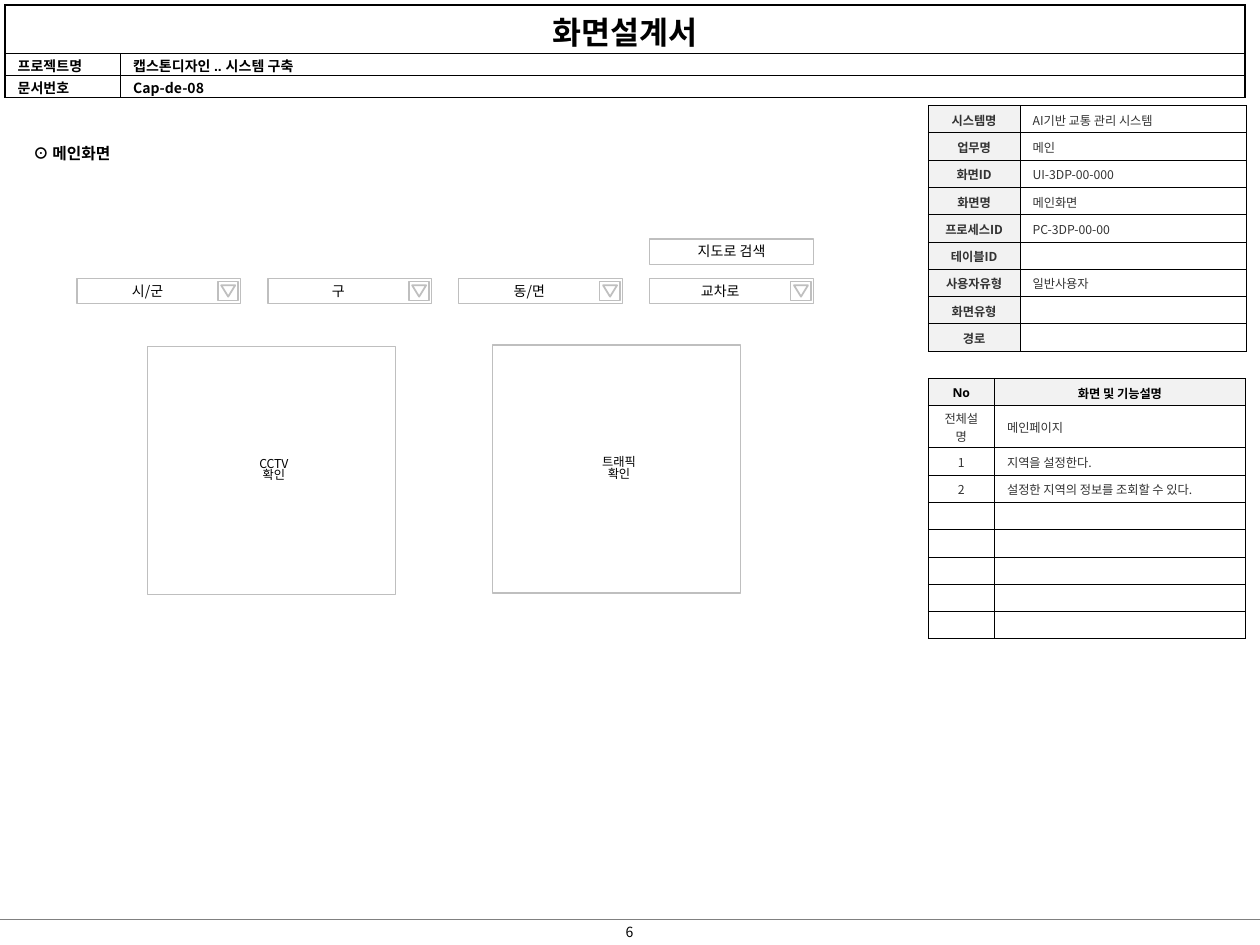
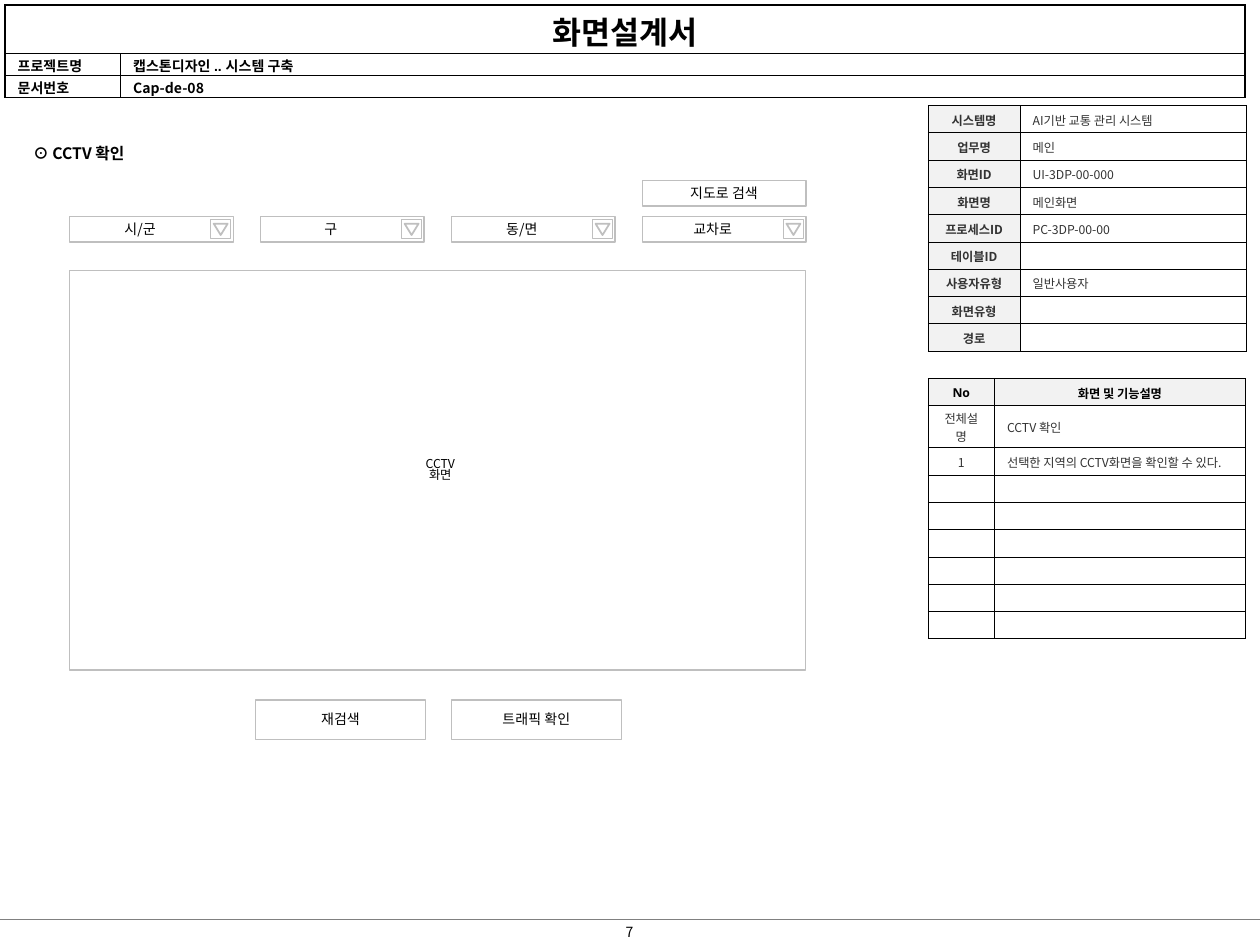
import pptx
import pptx.util
import pptx.dml.color
import pptx.enum.shapes
import pptx.enum.text
import pptx.oxml.ns
from lxml import etree

Pt = pptx.util.Pt
RGBColor = pptx.dml.color.RGBColor
SHAPE = pptx.enum.shapes.MSO_SHAPE
ALIGN = pptx.enum.text.PP_ALIGN
ANCHOR = pptx.enum.text.MSO_ANCHOR
qn = pptx.oxml.ns.qn

BLACK = RGBColor(0x00, 0x00, 0x00)
WHITE = RGBColor(0xFF, 0xFF, 0xFF)
BODY_GREY = RGBColor(0x33, 0x33, 0x33)
HEADER_GREY = RGBColor(0xF2, 0xF2, 0xF2)
OUTLINE_GREY = RGBColor(0xBF, 0xBF, 0xBF)
FOOTER_GREY = RGBColor(0x80, 0x80, 0x80)

KOREAN = "Noto Sans CJK KR"
LATIN = "Arial"
NUMBER_HEAD = "Open Sans"

ROW_HEIGHT = 15.6
DESCRIPTION_ROWS = 9
FILTERS = ["시/군", "구", "동/면", "교차로"]
FILTER_STEP = 109.1
FILTER_WIDTH = 93.6
FILTER_HEIGHT = 14.6
FILTER_LABEL_WIDTH = 80.6
LABEL_HEIGHT = 17.3

SCREEN_INFO = [
    ("시스템명", "AI기반 교통 관리 시스템"),
    ("업무명", "메인"),
    ("화면ID", "UI-3DP-00-000"),
    ("화면명", "메인화면"),
    ("프로세스ID", "PC-3DP-00-00"),
    ("테이블ID", ""),
    ("사용자유형", "일반사용자"),
    ("화면유형", ""),
    ("경로", ""),
]


def add_run(paragraph, text, size, color=BLACK, bold=False, font=KOREAN):
    run = paragraph.add_run()
    run.text = text
    run.font.size = Pt(size)
    run.font.bold = bold
    run.font.name = font
    run.font.color.rgb = color
    east_asian = etree.SubElement(run.font._element, qn("a:ea"))
    east_asian.set("typeface", KOREAN)


def set_insets(frame, left, top, right, bottom):
    frame.margin_left, frame.margin_top = Pt(left), Pt(top)
    frame.margin_right, frame.margin_bottom = Pt(right), Pt(bottom)


def add_label(shapes, text, left, top, width):
    label = shapes.add_textbox(Pt(left), Pt(top), Pt(width), Pt(LABEL_HEIGHT))
    label.text_frame.word_wrap = True
    paragraph = label.text_frame.paragraphs[0]
    paragraph.alignment = ALIGN.CENTER
    add_run(paragraph, text, 8)


def add_outline(shapes, kind, left, top, width, height, weight=0.75):
    outline = shapes.add_shape(kind, Pt(left), Pt(top), Pt(width), Pt(height))
    outline.shadow.inherit = False
    outline.fill.solid()
    outline.fill.fore_color.rgb = WHITE
    outline.line.color.rgb = OUTLINE_GREY
    outline.line.width = Pt(weight)
    return outline


def add_button(shapes, text, left, top, width=FILTER_WIDTH, height=FILTER_HEIGHT,
               label_width=None):
    add_outline(shapes, SHAPE.RECTANGLE, left, top, width, height)
    add_label(shapes, text, left, top + (height - LABEL_HEIGHT) / 2,
              label_width or width)


def add_dropdown(slide, text, left, top):
    shapes = slide.shapes.add_group_shape().shapes
    add_button(shapes, text, left, top, label_width=FILTER_LABEL_WIDTH)
    add_outline(shapes, SHAPE.RECTANGLE, left + 80.6, top + 1.7, 11.5, 11)
    arrow = add_outline(shapes, SHAPE.ISOSCELES_TRIANGLE,
                        left + 82.4, top + 4, 8, 6.5, 1)
    arrow.fill.background()
    arrow.rotation = 180


def add_search_bar(slide, left, filter_top, map_search_top):
    for index, text in enumerate(FILTERS):
        add_dropdown(slide, text, left + index * FILTER_STEP, filter_top)
    map_search = slide.shapes.add_group_shape()
    add_button(map_search.shapes, "지도로 검색",
               left + (len(FILTERS) - 1) * FILTER_STEP, map_search_top)


def add_panel(slide, lines, left, top, width, height):
    panel = add_outline(slide.shapes, SHAPE.RECTANGLE, left, top, width, height)
    frame = panel.text_frame
    frame.word_wrap = True
    frame.vertical_anchor = ANCHOR.MIDDLE
    set_insets(frame, 5.8, 3.6, 2.9, 3.6)
    for index, line in enumerate(lines):
        paragraph = frame.add_paragraph() if index else frame.paragraphs[0]
        paragraph.alignment = ALIGN.CENTER
        paragraph.line_spacing = 0.8
        add_run(paragraph, line, 7)


def set_border(cell, side, weight):
    line = etree.SubElement(cell._tc.get_or_add_tcPr(), qn("a:ln" + side))
    line.set("w", str(Pt(weight)))
    fill = etree.SubElement(line, qn("a:solidFill"))
    etree.SubElement(fill, qn("a:srgbClr")).set("val", str(BLACK))


def style_cell(cell, borders, fill=None):
    for side, weight in zip("LRTB", borders):
        set_border(cell, side, weight)
    if fill is None:
        cell.fill.background()
    else:
        cell.fill.solid()
        cell.fill.fore_color.rgb = fill


def fill_cell(cell, text, size, align=ALIGN.LEFT, **run_format):
    paragraph = cell.text_frame.paragraphs[0]
    paragraph.alignment = align
    if text:
        add_run(paragraph, text, size, **run_format)
    else:
        empty = etree.SubElement(paragraph._p, qn("a:endParaRPr"))
        empty.set("sz", str(size * 100))


def add_grid(slide, left, top, widths, heights):
    table = slide.shapes.add_table(
        len(heights), len(widths), Pt(left), Pt(top),
        Pt(sum(widths)), Pt(sum(heights))).table
    table.first_row = False
    table.horz_banding = False
    for column, width in zip(table.columns, widths):
        column.width = Pt(width)
    for row, height in zip(table.rows, heights):
        row.height = Pt(height)
    return table


def fill_detail_cell(cell, text, centered, fill=None, **run_format):
    style_cell(cell, [0.25] * 4, fill)
    cell.vertical_anchor = ANCHOR.MIDDLE
    set_insets(cell, 7.2, 2, 7.2 if centered else 2, 1)
    fill_cell(cell, text, 7, ALIGN.CENTER if centered else ALIGN.LEFT, **run_format)


def add_document_header(slide):
    header = add_grid(slide, 2.9, 2.9, [66, 642.6], [27.8, 12.5, 12.5])
    header.cell(0, 0).merge(header.cell(0, 1))
    entries = [
        ("화면설계서", ""),
        ("프로젝트명", "캡스톤디자인 .. 시스템 구축"),
        ("문서번호", "Cap-de-08"),
    ]
    for row, texts in enumerate(entries):
        for column, text in enumerate(texts):
            cell = header.cell(row, column)
            left = 1 if column == 0 else 0.5
            right = 1 if column == 1 or row == 0 else 0.5
            style_cell(cell, [left, right, 0.5 if row else 1, 0.5], WHITE)
            set_insets(cell, 7.2, 0.8, 7.2, 0)
            cell.vertical_anchor = ANCHOR.BOTTOM
            font = LATIN if row and text != "Cap-de-08" else KOREAN
            fill_cell(cell, text, 8 if row else 18,
                      ALIGN.LEFT if row else ALIGN.CENTER, bold=True, font=font)


def add_screen_info(slide):
    info = add_grid(slide, 530.3, 60.2, [52.6, 129.4], [ROW_HEIGHT] * len(SCREEN_INFO))
    for row, (field, value) in enumerate(SCREEN_INFO):
        fill_detail_cell(info.cell(row, 0), field, True, HEADER_GREY,
                         color=BODY_GREY, bold=True)
        fill_detail_cell(info.cell(row, 1), value, False, color=BODY_GREY)


def add_descriptions(slide, overview, functions):
    heights = [ROW_HEIGHT, 24] + [ROW_HEIGHT] * (DESCRIPTION_ROWS - 2)
    descriptions = add_grid(slide, 530.3, 216.2, [38, 143.4], heights)
    for column, (text, font) in enumerate([("No", NUMBER_HEAD),
                                           ("화면 및 기능설명", LATIN)]):
        fill_detail_cell(descriptions.cell(0, column), text, True, HEADER_GREY,
                         bold=True, font=font)
    entries = [("전체설명", overview)]
    entries += [(str(number), text) for number, text in enumerate(functions, 1)]
    entries += [("", "")] * (DESCRIPTION_ROWS - 1 - len(entries))
    for row, (number, text) in enumerate(entries, 1):
        fill_detail_cell(descriptions.cell(row, 0), number, True, color=BODY_GREY)
        fill_detail_cell(descriptions.cell(row, 1), text, False, color=BODY_GREY)


def add_footer(slide, page_number):
    rule = slide.shapes.add_connector(
        pptx.enum.shapes.MSO_CONNECTOR.STRAIGHT, Pt(0), Pt(525.6), Pt(720), Pt(525.6))
    rule.line.color.rgb = FOOTER_GREY
    rule.line.width = Pt(0.75)
    etree.SubElement(rule._element.spPr, qn("a:effectLst"))
    add_label(slide.shapes, str(page_number), 340, 524, 39.6)


def set_screen_title(slide, text, width):
    title = slide.shapes.title
    title.left, title.top = Pt(11.7), Pt(78.5)
    title.width, title.height = Pt(width), Pt(18)
    frame = title.text_frame
    frame.word_wrap = False
    frame.vertical_anchor = ANCHOR.TOP
    set_insets(frame, 7.2, 3.6, 7.2, 3.6)
    frame.paragraphs[0].alignment = ALIGN.LEFT
    add_run(frame.paragraphs[0], text, 9, bold=True)


def add_screen(deck, page_number, title, title_width, overview, functions):
    slide = deck.slides.add_slide(deck.slide_layouts[5])
    add_footer(slide, page_number)
    add_document_header(slide)
    add_descriptions(slide, overview, functions)
    add_screen_info(slide)
    set_screen_title(slide, title, title_width)
    return slide


def main():
    deck = pptx.Presentation()
    deck.slide_width, deck.slide_height = Pt(720), Pt(540)

    main_screen = add_screen(
        deck, 6, "⊙ 메인화면", 62.6, "메인페이지",
        ["지역을 설정한다.", "설정한 지역의 정보를 조회할 수 있다."])
    add_panel(main_screen, ["CCTV", "확인"], 84.2, 198, 141.8, 141.8)
    add_panel(main_screen, ["트래픽", "확인"], 281.4, 197.2, 141.8, 141.8)
    add_search_bar(main_screen, 44, 159, 136.6)

    cctv_screen = add_screen(
        deck, 7, "⊙ CCTV 확인", 70.6, "CCTV 확인",
        ["선택한 지역의 CCTV화면을 확인할 수 있다."])
    add_panel(cctv_screen, ["CCTV", "화면"], 39.7, 154.8, 420.8, 228.2)
    add_search_bar(cctv_screen, 39.7, 123.8, 103.2)
    for text, left in [("재검색", 146), ("트래픽 확인", 257.9)]:
        add_button(cctv_screen.shapes, text, left, 400, 97.2, 22.6)

    deck.save("out.pptx")


if __name__ == "__main__":
    main()
